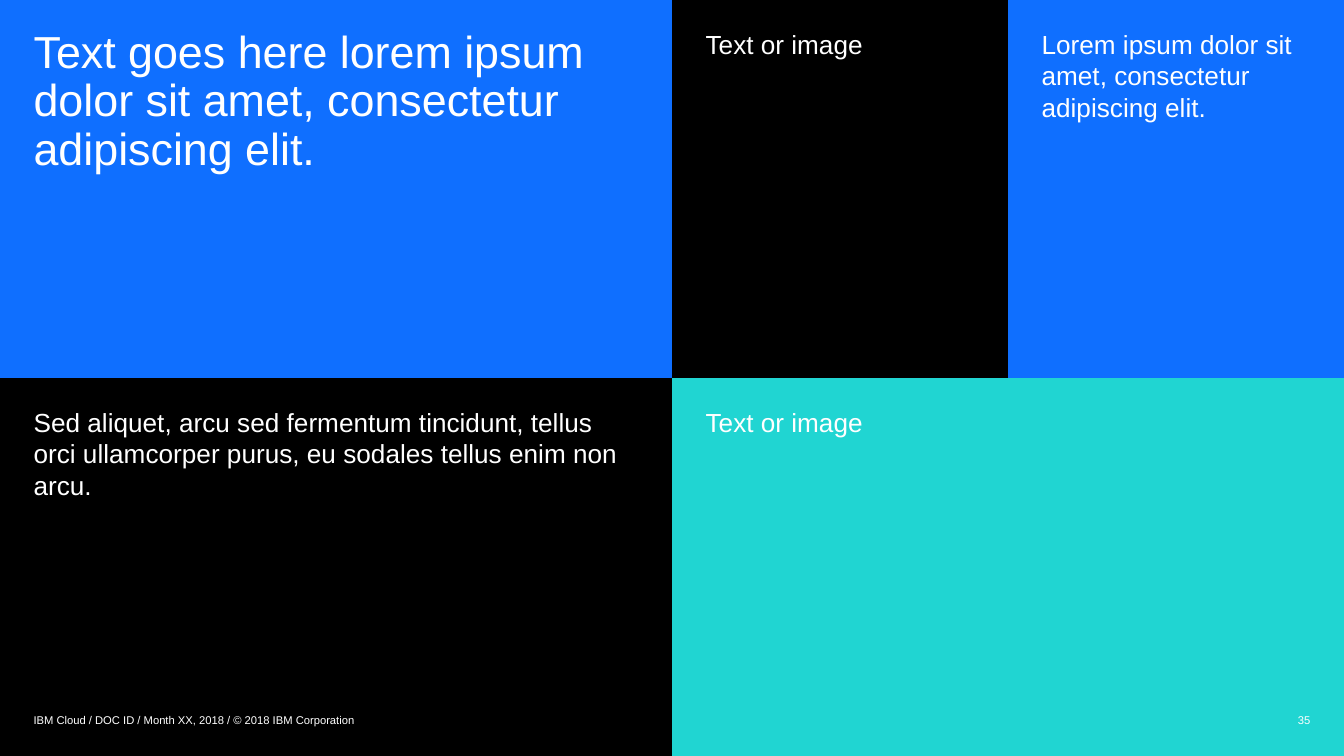
"""Build a slide of five colour panels with a footer and a page number."""
from pptx import Presentation
from pptx.dml.color import RGBColor
from pptx.enum.text import MSO_ANCHOR, MSO_AUTO_SIZE, PP_ALIGN
from pptx.util import Inches, Pt
from lxml.etree import SubElement

BLUE, BLACK, TEAL, WHITE = "0F6FFF", "000000", "20D5D2", "FFFFFF"
WIDE = 10
HIGH = WIDE * 9 / 16
COL, ROW, PAD = WIDE / 4, HIGH / 2, 0.25


def paint(fill, tone):
    """Give a fill one solid colour."""
    fill.solid()
    fill.fore_color.rgb = RGBColor.from_string(tone)


def style(shape, area, text, size, inset, look):
    """Place a shape and set its text and format."""
    for name, value in zip(("left", "top", "width", "height"), area):
        setattr(shape, name, Inches(value))
    frame = shape.text_frame
    frame.text = text
    frame.word_wrap = True
    frame.auto_size = MSO_AUTO_SIZE.NONE
    frame.vertical_anchor = look["anchor"]
    for side, value in zip(("left", "top", "right", "bottom"), inset):
        setattr(frame, f"margin_{side}", Inches(value))
    para = frame.paragraphs[0]
    props = para._p.get_or_add_pPr()
    props.set("marL", "0")
    props.set("indent", "0")
    SubElement(props, "{http://schemas.openxmlformats.org/drawingml/2006/main}buNone")
    for name, value in look["para"].items():
        setattr(para, name, value)
    font = para.runs[0].font
    for name, value in {"name": "Arial", "size": Pt(size), "bold": False}.items():
        setattr(font, name, value)
    paint(font.fill, WHITE)


deck = Presentation()
deck.slide_width, deck.slide_height = Inches(WIDE), Inches(HIGH)
slide = deck.slides.add_slide(deck.slide_layouts[4])
paint(slide.background.fill, BLACK)

left = {"alignment": PP_ALIGN.LEFT, "space_before": Pt(0)}
head = {"anchor": MSO_ANCHOR.TOP, "para": {**left, "line_spacing": 0.9}}
body = {"anchor": MSO_ANCHOR.TOP, "para": left}
foot = {"anchor": MSO_ANCHOR.MIDDLE, "para": left}
page = {"anchor": MSO_ANCHOR.MIDDLE, "para": {**left, "alignment": PP_ALIGN.RIGHT}}

lorem = "Lorem ipsum dolor sit amet, consectetur adipiscing elit."
panels = [
    (0, 0, 2, 1, BLUE, "Text goes here lorem ipsum dolor sit amet, consectetur adipiscing elit.", 24, 0.22, head),
    (2, 1, 2, 1, TEAL, "Text or image", 14, 0.21, body),
    (3, 0, 1, 1, BLUE, lorem, 14, 0.21, body),
    (2, 0, 1, 1, BLACK, "Text or image", 14, 0.21, body),
    (0, 1, 2, 0.82, BLACK, "Sed aliquet, arcu sed fermentum tincidunt, tellus orci ullamcorper purus, "
     "eu sodales tellus enim non arcu.", 14, 0.21, body),
]
for mark, (col, row, cols, rows, tone, text, size, top, look) in enumerate(panels):
    panel = slide.placeholders[mark]
    area = (col * COL, row * ROW, cols * COL, rows * ROW)
    style(panel, area, text, size, (PAD, top, PAD, PAD), look)
    paint(panel.fill, tone)

notes = [
    (PAD, 7, "IBM Cloud / DOC ID / Month XX, 2018 / © 2018 IBM Corporation", foot),
    (3 * COL, COL - PAD, "35", page),
]
for start, width, text, look in notes:
    box = slide.shapes.add_textbox(0, 0, 0, 0)
    style(box, (start, 5.28, width, 0.15), text, 6, (0, 0, 0, 0), look)

deck.save("out.pptx")
